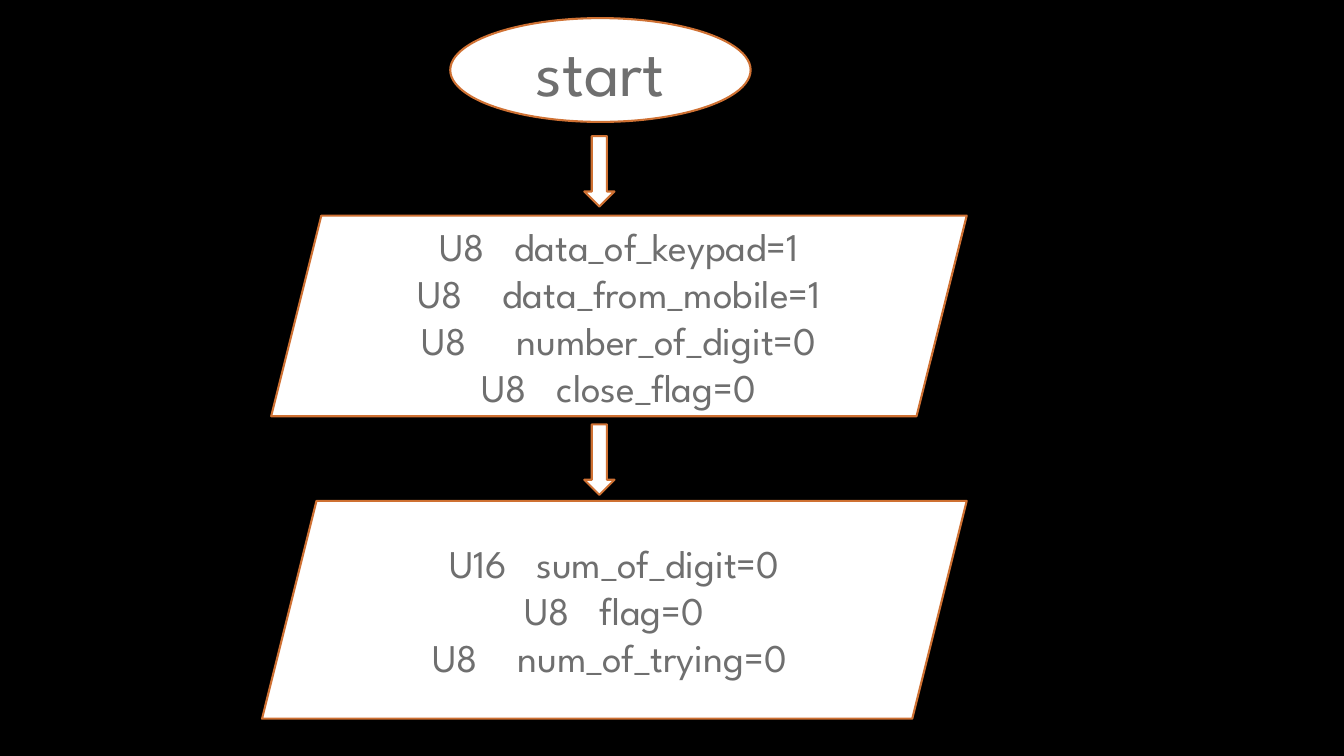
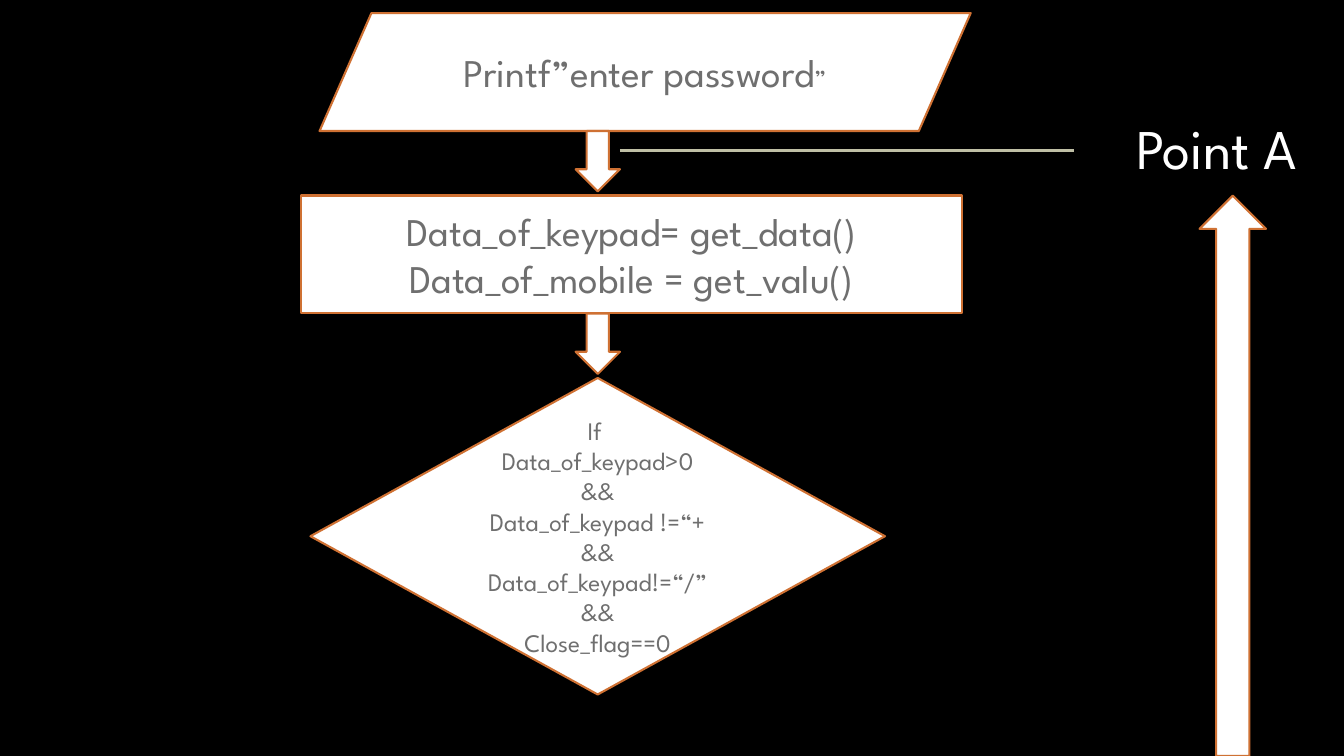
from dataclasses import dataclass

from lxml.etree import SubElement
from pptx import Presentation
from pptx.dml.color import RGBColor
from pptx.enum.shapes import MSO_CONNECTOR, MSO_SHAPE
from pptx.enum.text import MSO_ANCHOR, PP_ALIGN
from pptx.oxml.ns import qn
from pptx.util import Inches, Pt

# Shared style
FONT = "League Spartan"
BLACK, WHITE = "000000", "FFFFFF"
ORANGE, GREY, SAGE = "CF7133", "6F6F6F", "BFBFA5"
SPACE_WIDTH = 7.15  # points taken by one space at 28 pt

prs = Presentation()
prs.slide_width, prs.slide_height = Inches(13.333), Inches(7.5)


@dataclass(frozen=True)
class Span:
    text: str
    size: float = 28
    spacing: float = 0


@dataclass(frozen=True)
class Box:
    """Position and size as percentages of the slide."""
    left: float
    top: float
    width: float
    height: float

    def emu(self) -> tuple[int, int, int, int]:
        return across(self.left), down(self.top), across(self.width), down(self.height)


@dataclass(frozen=True)
class Step:
    kind: MSO_SHAPE
    box: Box
    lines: tuple[tuple[Span, ...], ...] = ()
    adjust: float | None = None
    rotation: float = 0


def across(share: float) -> int:
    return round(prs.slide_width * share / 100)


def down(share: float) -> int:
    return round(prs.slide_height * share / 100)


def rgb(code: str) -> RGBColor:
    return RGBColor.from_string(code)


def text_lines(size: float, *texts: str) -> tuple[tuple[Span, ...], ...]:
    return tuple((Span(text, size),) for text in texts)


def declaration(kind: str, name: str, gap: int) -> tuple[Span, ...]:
    """A type and a variable, set apart by the width of some spaces."""
    return Span(kind), Span(" ", spacing=(gap - 1) * SPACE_WIDTH), Span(name)


def arrow(axis: float, top: float, width: float, height: float) -> Step:
    return Step(MSO_SHAPE.DOWN_ARROW, Box(axis - width / 2, top, width, height))


def write(tf, lines: tuple[tuple[Span, ...], ...], color: str) -> None:
    for i, spans in enumerate(lines):
        p = tf.add_paragraph() if i else tf.paragraphs[0]
        p.alignment = PP_ALIGN.CENTER
        for span in spans:
            r = p.add_run()
            r.text = span.text
            r.font.name, r.font.size = FONT, Pt(span.size)
            r.font.color.rgb = rgb(color)
            if span.spacing:
                r.font._element.set("spc", str(round(span.spacing * 100)))


def draw_step(s, step: Step) -> None:
    sp = s.shapes.add_shape(step.kind, *step.box.emu())
    sp.shadow.inherit = False
    sp.fill.solid()
    sp.fill.fore_color.rgb = rgb(WHITE)
    sp.line.color.rgb = rgb(ORANGE)
    sp.line.width = Pt(1.5)
    sp.rotation = step.rotation
    if step.adjust is not None:
        sp.adjustments[0] = step.adjust
    tf = sp.text_frame
    tf.word_wrap = True
    tf.vertical_anchor = MSO_ANCHOR.MIDDLE
    write(tf, step.lines, GREY)


def draw_line(s, left: float, right: float, top: float) -> None:
    line = s.shapes.add_connector(
        MSO_CONNECTOR.STRAIGHT, across(left), down(top), across(right), down(top))
    line.line.color.rgb = rgb(SAGE)
    line.line.width = Pt(2)
    SubElement(line._element.spPr, qn("a:effectLst"))


def draw_label(s, box: Box, text: str) -> None:
    tf = s.shapes.add_textbox(*box.emu()).text_frame
    tf.word_wrap = False
    write(tf, text_lines(40, text), WHITE)


def add_flow(steps: list[Step]):
    s = prs.slides.add_slide(prs.slide_layouts[6])
    s.background.fill.solid()
    s.background.fill.fore_color.rgb = rgb(BLACK)
    for step in steps:
        draw_step(s, step)
    return s


# Start and variables
add_flow([
    Step(MSO_SHAPE.OVAL, Box(33.5, 2.4, 22.35, 13.73), text_lines(48, "start")),
    Step(MSO_SHAPE.PARALLELOGRAM, Box(20.18, 28.53, 51.75, 26.53), (
        declaration("U8", "data_of_keypad=1", 3),
        declaration("U8", "data_from_mobile=1", 4),
        declaration("U8", "number_of_digit=0", 5),
        declaration("U8", "close_flag=0", 3),
    )),
    Step(MSO_SHAPE.PARALLELOGRAM, Box(19.5, 66.27, 52.43, 28.8), (
        declaration("U16", "sum_of_digit=0", 3),
        declaration("U8", "flag=0", 3),
        declaration("U8", "num_of_trying=0 ", 4),
    )),
    *(arrow(44.6, top, 2.25, 9.33) for top in (18, 56.13)),
])

# Password entry and check
s = add_flow([
    Step(MSO_SHAPE.PARALLELOGRAM, Box(23.78, 1.73, 48.45, 15.6),
         ((Span("Printf”enter password"), Span("”", 18)),), adjust=0.44),
    Step(MSO_SHAPE.RECTANGLE, Box(22.43, 25.87, 49.13, 15.6), text_lines(
        28, "Data_of_keypad= get_data()", "Data_of_mobile = get_valu()")),
    Step(MSO_SHAPE.DIAMOND, Box(23.1, 50, 42.75, 41.87), text_lines(
        18, "If ", "Data_of_keypad>0", "&&", "Data_of_keypad !=“+", "&&",
        "Data_of_keypad!=“/”", "&&", "Close_flag==0")),
    *(arrow(44.48, top, 3.3, 8) for top in (17.33, 41.47)),
    Step(MSO_SHAPE.DOWN_ARROW, Box(89.25, 25.87, 4.95, 74.13), rotation=180),
])

# Return point
draw_line(s, 46.13, 79.88, 19.87)
draw_label(s, Box(82.58, 14.4, 15.9, 10.27), "Point A")

prs.save("out.pptx")
